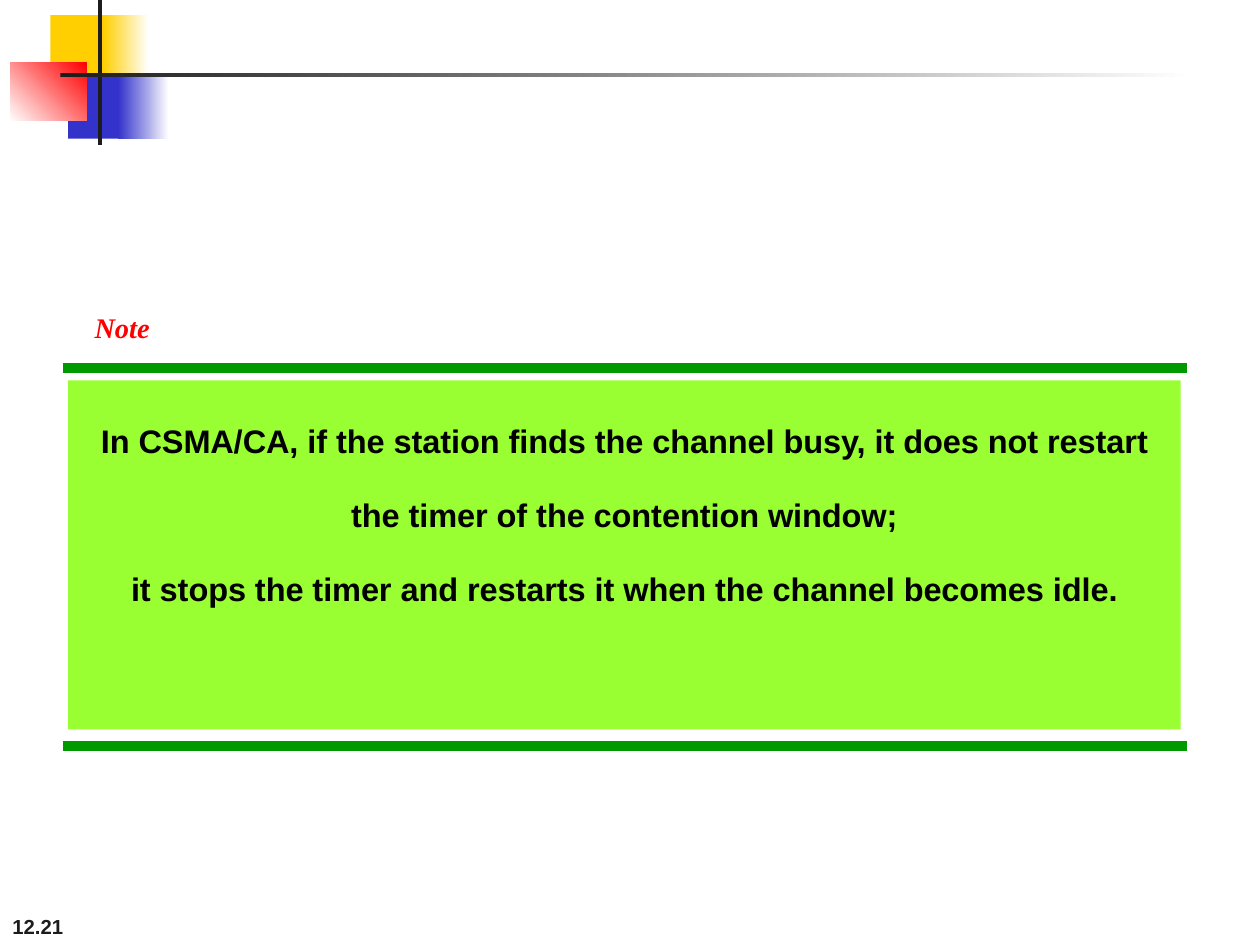
import pptx
import pptx.util
from dataclasses import dataclass
from lxml import etree
from pptx.dml.color import RGBColor
from pptx.enum.shapes import MSO_CONNECTOR, MSO_SHAPE
from pptx.enum.text import MSO_ANCHOR, MSO_AUTO_SIZE, PP_ALIGN
from pptx.oxml.ns import qn

Inches, Pt = pptx.util.Inches, pptx.util.Pt


@dataclass(frozen=True)
class Theme:
    ink: str = "1C1C1C"
    white: str = "FFFFFF"
    yellow: str = "FFCF01"
    blue: str = "3333CC"
    red: str = "FF0000"
    green: str = "009900"
    lime: str = "99FF33"
    black: str = "000000"
    sans: str = "Arial"
    serif: str = "Times New Roman"
    number_size: int = 20
    note_size: int = 28
    body_size: int = 32
    rule_width: int = 6
    lowered: str = "-20000"


T = Theme()
W, H = 10, 7.5

NUMBER = "12.21"
NOTE = "Note"
STATEMENT = [
    "In CSMA/CA, if the station finds the channel busy, it does not restart "
    "the timer of the contention window;",
    "it stops the timer and restarts it when the channel becomes idle.",
]

# left, top, width, height, colours (one = solid, two = gradient), angle
ORNAMENT = [
    (0.4, 0.12, 0.48, 0.52, [T.yellow], 0),
    (0.82, 0.12, 0.36, 0.52, [T.yellow, T.white], 0),
    (0.54, 0.58, 0.46, 0.52, [T.blue], 0),
    (0.94, 0.58, 0.4, 0.52, [T.blue, T.white], 0),
    (0.08, 0.5, 0.61, 0.46, [T.white, T.red], 45),
    (0.78, 0, 0.03, 1.15, [T.ink], 0),
    (0.48, 0.58, 0.9 * W, 0.03, [T.ink, T.white], 0),
]
RULE_LEFT, RULE_RIGHT = 0.5, 9.42
RULE_TOPS = [2.92, 5.92]
PANEL = (0.54, 3.02, 8.83, 2.77)


def add_block(s, left, top, width, height, colours, angle=0):
    sp = s.shapes.add_shape(MSO_SHAPE.RECTANGLE, *map(Inches, (left, top, width, height)))
    sp.shadow.inherit = False
    sp.line.fill.background()
    if len(colours) == 1:
        sp.fill.solid()
        sp.fill.fore_color.rgb = RGBColor.from_string(colours[0])
    else:
        sp.fill.gradient()
        sp.fill.gradient_angle = angle
        for i, (stop, colour) in enumerate(zip(sp.fill.gradient_stops, colours)):
            stop.position = i
            stop.color.rgb = RGBColor.from_string(colour)
    return sp


def add_rule(s, y):
    line = s.shapes.add_connector(MSO_CONNECTOR.STRAIGHT, Inches(RULE_LEFT), Inches(y),
                                  Inches(RULE_RIGHT), Inches(y))
    line.line.color.rgb = RGBColor.from_string(T.green)
    line.line.width = Pt(T.rule_width)
    etree.SubElement(line._element.spPr, qn("a:effectLst"))


def write(sp, lines, font, size, colour, italic=False, align=PP_ALIGN.LEFT,
          anchor=MSO_ANCHOR.TOP, wrap=True):
    """Fill a shape with bold text set as subscript."""
    tf = sp.text_frame
    tf.text = "\n".join(lines)
    tf.word_wrap = wrap
    tf.auto_size = MSO_AUTO_SIZE.NONE
    tf.vertical_anchor = anchor
    for p in tf.paragraphs:
        p.alignment = align
        p.line_spacing = 1.0
        p.space_before = Pt(0)
        for r in p.runs:
            r.font.name, r.font.size = font, Pt(size)
            r.font.bold, r.font.italic = True, italic
            r.font.color.rgb = RGBColor.from_string(colour)
            r._r.get_or_add_rPr().set("baseline", T.lowered)


def main():
    prs = pptx.Presentation()
    prs.slide_width, prs.slide_height = Inches(W), Inches(H)
    s = prs.slides.add_slide(prs.slide_layouts[5])

    number = s.shapes.add_textbox(0, Inches(H - 0.5), Inches(2.08), Inches(0.5))
    write(number, [NUMBER], T.sans, T.number_size, T.ink, anchor=MSO_ANCHOR.BOTTOM)

    for block in ORNAMENT:
        add_block(s, *block)
    for y in RULE_TOPS:
        add_rule(s, y)

    panel = add_block(s, *PANEL, [T.lime])
    write(panel, STATEMENT, T.sans, T.body_size, T.black, align=PP_ALIGN.CENTER)

    note = s.shapes.title
    note.left, note.top, note.width, note.height = map(Inches, (0.65, 2.17, 0.96, 0.57))
    write(note, [NOTE], T.serif, T.note_size, T.red, italic=True, wrap=False)

    prs.save("out.pptx")


if __name__ == "__main__":
    main()
